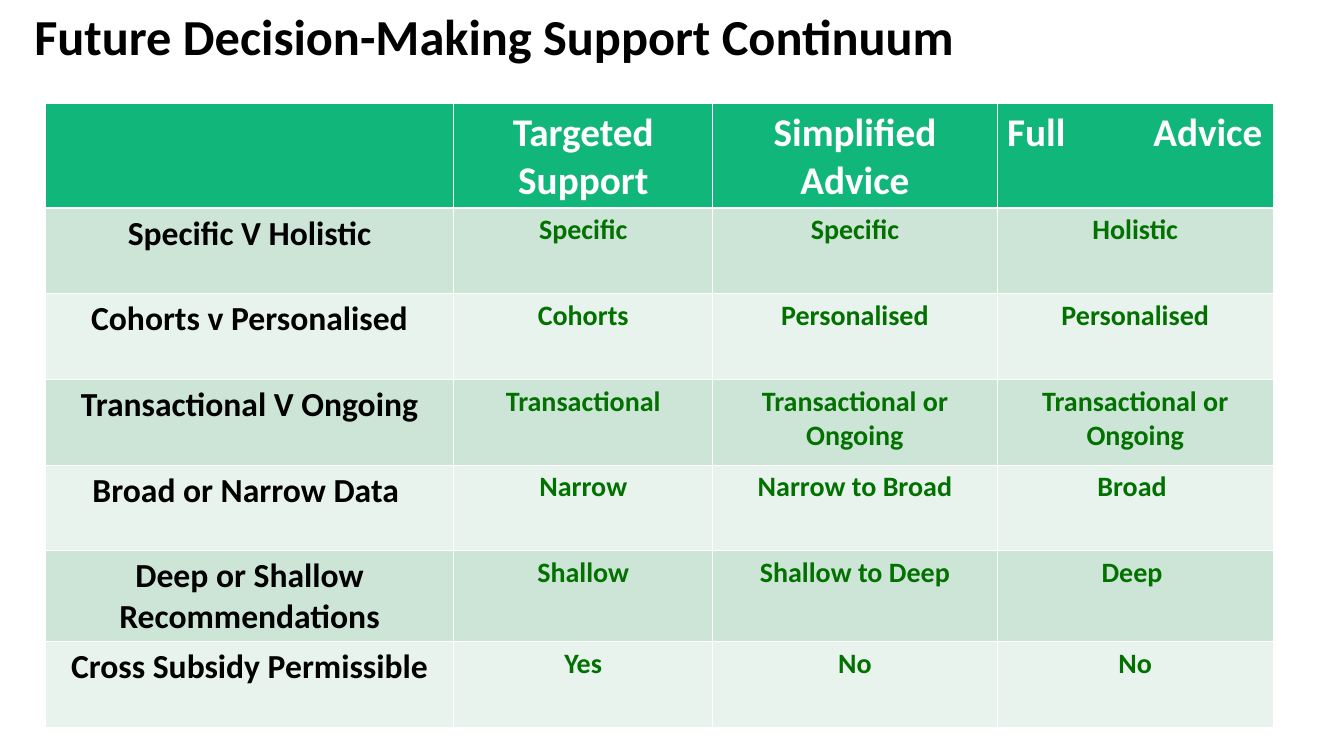
from lxml.etree import SubElement
from pptx import Presentation
from pptx.dml.color import RGBColor as RGB
from pptx.enum.text import PP_ALIGN as Align
from pptx.oxml.ns import qn
from pptx.util import Inches, Pt

COLORS = {
    "title": "000000",
    "header": "11B67A",
    "header_text": "FFFFFF",
    "criterion": "000000",
    "answer": "027100",
    "odd_row": "CCE5D7",
    "even_row": "E7F3EC",
}
FONT = "Calibri"
COLUMN_WIDTHS = [4.05, 2.57, 2.82, 2.74]
ROW_HEIGHT = 0.85
ADVICE_TAB = 1.45

CONTINUUM = [
    ["", "Targeted Support", "Simplified Advice", "Full\tAdvice"],
    ["Specific V Holistic", "Specific", "Specific", "Holistic"],
    ["Cohorts v Personalised", "Cohorts", "Personalised", "Personalised"],
    ["Transactional V Ongoing", "Transactional", "Transactional or Ongoing",
     "Transactional or Ongoing"],
    ["Broad or Narrow Data ", "Narrow", "Narrow to Broad", "Broad "],
    ["Deep or Shallow Recommendations", "Shallow", "Shallow to Deep", "Deep "],
    ["Cross Subsidy Permissible", "Yes", "No", "No"],
]


def style_font(paragraph, size, color):
    font = paragraph.font
    font.name = FONT
    font.size = Pt(size)
    font.bold = True
    font.color.rgb = RGB.from_string(COLORS[color])


def add_tab_stop(paragraph, position):
    stops = SubElement(paragraph._p.get_or_add_pPr(), qn("a:tabLst"))
    SubElement(stops, qn("a:tab"), pos=str(Inches(position)), algn="l")


def add_title(slide, wording):
    title = slide.shapes.add_textbox(Inches(0.3), Inches(0.06), Inches(10.85), Inches(0.64))
    frame = title.text_frame
    frame.word_wrap = True
    frame.margin_left = frame.margin_right = Inches(0.04)
    frame.margin_top = frame.margin_bottom = Inches(0.04)
    heading = frame.paragraphs[0]
    heading.text = wording
    heading.line_spacing = Pt(40)
    style_font(heading, 36, "title")


def fill_cell(cell, wording, size, color, background):
    cell.fill.solid()
    cell.fill.fore_color.rgb = RGB.from_string(COLORS[background])
    cell.text = wording
    paragraph = cell.text_frame.paragraphs[0]
    if "\t" in wording:
        paragraph.alignment = Align.LEFT
        add_tab_stop(paragraph, ADVICE_TAB)
    else:
        paragraph.alignment = Align.CENTER
    style_font(paragraph, size, color)


def add_continuum(slide, rows):
    table = slide.shapes.add_table(
        len(rows), len(COLUMN_WIDTHS), Inches(0.45), Inches(1.03),
        Inches(sum(COLUMN_WIDTHS)), Inches(ROW_HEIGHT * len(rows))).table
    for column, width in zip(table.columns, COLUMN_WIDTHS):
        column.width = Inches(width)
    for r, row in enumerate(rows):
        table.rows[r].height = Inches(ROW_HEIGHT)
        background = "header" if r == 0 else "odd_row" if r % 2 else "even_row"
        for c, wording in enumerate(row):
            if r == 0:
                size, color = 28, "header_text"
            elif c == 0:
                size, color = 24, "criterion"
            else:
                size, color = 20, "answer"
            fill_cell(table.cell(r, c), wording, size, color, background)


def main():
    deck = Presentation()
    deck.slide_width = Inches(13.33)
    deck.slide_height = Inches(7.5)
    slide = deck.slides.add_slide(deck.slide_layouts[6])
    add_title(slide, "Future Decision-Making Support Continuum")
    add_continuum(slide, CONTINUUM)
    deck.save("out.pptx")


if __name__ == "__main__":
    main()
